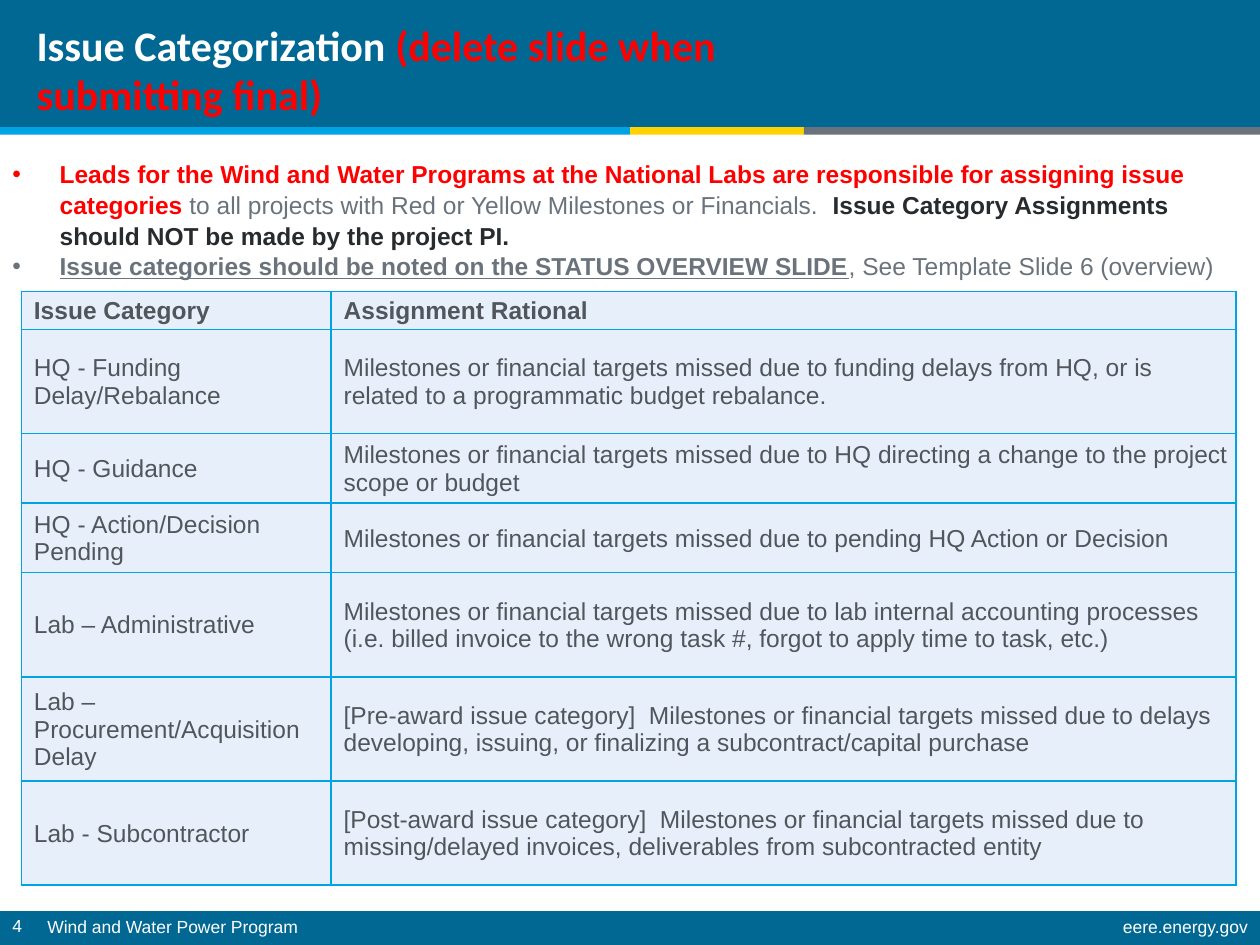
from dataclasses import dataclass
from typing import NamedTuple

from lxml.etree import SubElement
from pptx import Presentation
from pptx.dml.color import RGBColor
from pptx.enum.shapes import MSO_SHAPE as Preset
from pptx.enum.text import MSO_ANCHOR as Anchor, MSO_AUTO_SIZE as AutoSize, PP_ALIGN as Align
from pptx.oxml import parse_xml
from pptx.oxml.ns import nsdecls, qn
from pptx.util import Pt

WHITE = RGBColor(0xFF, 0xFF, 0xFF)
RED = RGBColor(0xFF, 0x00, 0x00)
NAVY = RGBColor(0x00, 0x68, 0x92)
CYAN = RGBColor(0x00, 0xA4, 0xE4)
YELLOW = RGBColor(0xFF, 0xD2, 0x00)
GRAY = RGBColor(0x6A, 0x73, 0x7B)
CHARCOAL = RGBColor(0x28, 0x2B, 0x2E)
CELL_TEXT = RGBColor(0x50, 0x56, 0x5C)
CELL_FILL = RGBColor(0xE7, 0xF0, 0xFA)

SLIDE_WIDTH, SLIDE_HEIGHT = 720, 540
BULLET_INDENT = 27


class Box(NamedTuple):
    left: float
    top: float
    width: float
    height: float

    def lengths(self):
        return [Pt(value) for value in self]


@dataclass
class Band:
    box: Box
    color: RGBColor


@dataclass
class FooterLabel:
    text: str
    box: Box
    align: Align = Align.LEFT
    line_spacing: float = 0.9


class Issue(NamedTuple):
    category: str
    rationale: str
    height: float


HEADER_BOTTOM, STRIPE_HEIGHT, FOOTER_TOP = 72.7, 4.3, 520.6
BANDS = [
    Band(Box(0, 0, SLIDE_WIDTH, HEADER_BOTTOM), NAVY),
    Band(Box(0, FOOTER_TOP, SLIDE_WIDTH, SLIDE_HEIGHT - FOOTER_TOP), NAVY),
    Band(Box(0, HEADER_BOTTOM, 360, STRIPE_HEIGHT), CYAN),
    Band(Box(360, HEADER_BOTTOM, 99.4, STRIPE_HEIGHT), YELLOW),
    Band(Box(459.4, HEADER_BOTTOM, 260.6, STRIPE_HEIGHT), GRAY),
]
FOOTER_LABELS = [
    FooterLabel("Wind and Water Power Program", Box(20, 521.3, 574, 18.7)),
    FooterLabel("eere.energy.gov", Box(431.3, 521.3, 288.7, 18.7), Align.RIGHT),
    FooterLabel("4", Box(0, 519.5, 31, 19.4), line_spacing=1.0),
]

SHORT_ROW, TALL_ROW = 39.8, 59.5
COLUMN_WIDTHS = [177, 517]
ISSUES = [
    Issue("Issue Category", "Assignment Rational", 21.7),
    Issue("HQ - Funding Delay/Rebalance",
          "Milestones or financial targets missed due to funding delays from HQ, "
          "or is related to a programmatic budget rebalance.", TALL_ROW),
    Issue("HQ - Guidance",
          "Milestones or financial targets missed due to HQ directing a change "
          "to the project scope or budget", SHORT_ROW),
    Issue("HQ - Action/Decision Pending",
          "Milestones or financial targets missed due to pending HQ Action or Decision",
          SHORT_ROW),
    Issue("Lab – Administrative",
          "Milestones or financial targets missed due to lab internal accounting processes "
          "(i.e. billed invoice to the wrong task #, forgot to apply time to task, etc.)",
          TALL_ROW),
    Issue("Lab – Procurement/Acquisition Delay",
          "[Pre-award issue category]  Milestones or financial targets missed due to delays "
          "developing, issuing, or finalizing a subcontract/capital purchase", TALL_ROW),
    Issue("Lab - Subcontractor",
          "[Post-award issue category]  Milestones or financial targets missed due to "
          "missing/delayed invoices, deliverables from subcontracted entity", TALL_ROW),
]


def write(paragraph, text: str, *, color: RGBColor, size: float = 14, font: str = "Arial",
          bold: bool = False, underline: bool = False) -> None:
    run = paragraph.add_run()
    run.text = text
    run.font.name = font
    run.font.size = Pt(size)
    run.font.bold = bold
    run.font.underline = underline
    run.font.color.rgb = color


def draw_band(slide, band: Band) -> None:
    bar = slide.shapes.add_shape(Preset.RECTANGLE, *band.box.lengths())
    bar.shadow.inherit = False
    bar.fill.solid()
    bar.fill.fore_color.rgb = band.color
    bar.line.fill.background()


def add_text_frame(slide, box: Box):
    frame = slide.shapes.add_textbox(*box.lengths()).text_frame
    frame.word_wrap = True
    return frame


def draw_footer_label(slide, label: FooterLabel) -> None:
    paragraph = add_text_frame(slide, label.box).paragraphs[0]
    paragraph.alignment = label.align
    paragraph.line_spacing = label.line_spacing
    write(paragraph, label.text, size=10, color=WHITE)


def place_title(slide) -> None:
    title = slide.shapes.title
    title.element.getparent().append(title.element)
    title.left, title.top, title.width, title.height = Box(13.7, 8.6, 445.7, 62.6).lengths()
    frame = title.text_frame
    frame.auto_size = AutoSize.NONE
    frame.word_wrap = True
    frame.vertical_anchor = Anchor.MIDDLE
    heading = frame.paragraphs[0]
    heading.alignment = Align.LEFT
    heading.line_spacing = Pt(28)
    write(heading, "Issue Categorization ", size=24, font="Calibri", bold=True, color=WHITE)
    write(heading, "(delete slide when submitting final)",
          size=24, font="Calibri", bold=True, color=RED)


def make_bullet(paragraph) -> None:
    paragraph.line_spacing = 1.05
    properties = paragraph._p.get_or_add_pPr()
    properties.set("marL", str(Pt(BULLET_INDENT)))
    properties.set("indent", str(-Pt(BULLET_INDENT)))
    SubElement(properties, qn("a:buFont")).set("typeface", "Arial")
    SubElement(properties, qn("a:buChar")).set("char", "•")


def draw_guidance(slide) -> None:
    frame = add_text_frame(slide, Box(0, 86.4, SLIDE_WIDTH, 92.2))
    responsibility, notation = frame.paragraphs[0], frame.add_paragraph()
    make_bullet(responsibility)
    make_bullet(notation)
    write(responsibility, "Leads for the Wind and Water Programs at the National Labs are "
          "responsible for assigning issue categories ", bold=True, color=RED)
    write(responsibility, "to all projects with Red or Yellow Milestones or Financials.  ",
          color=GRAY)
    write(responsibility, "Issue Category Assignments should NOT be made by the project PI.",
          bold=True, color=CHARCOAL)
    write(notation, "Issue categories should be noted on the STATUS OVERVIEW SLIDE",
          bold=True, underline=True, color=GRAY)
    write(notation, ", See Template Slide 6 (overview)", color=GRAY)


def format_cell(cell, text: str, bold: bool) -> None:
    cell.vertical_anchor = Anchor.MIDDLE
    cell.margin_left = Pt(7.2)
    cell.margin_right = cell.margin_top = Pt(0.7)
    cell.margin_bottom = Pt(0)
    cell.fill.solid()
    cell.fill.fore_color.rgb = CELL_FILL
    write(cell.text_frame.paragraphs[0], text, bold=bold, color=CELL_TEXT)
    properties = cell._tc.get_or_add_tcPr()
    for position, side in enumerate("LRTB"):
        properties.insert(position, parse_xml(
            f'<a:ln{side} {nsdecls("a")} w="{Pt(1)}"><a:solidFill>'
            f'<a:srgbClr val="{CYAN}"/></a:solidFill></a:ln{side}>'))


def draw_issue_table(slide) -> None:
    box = Box(12.2, 166.5, sum(COLUMN_WIDTHS), sum(issue.height for issue in ISSUES))
    table = slide.shapes.add_table(len(ISSUES), len(COLUMN_WIDTHS), *box.lengths()).table
    table.first_row = table.horz_banding = False
    for column, width in zip(table.columns, COLUMN_WIDTHS):
        column.width = Pt(width)
    for index, (row, issue) in enumerate(zip(table.rows, ISSUES)):
        row.height = Pt(issue.height)
        for cell, text in zip(row.cells, (issue.category, issue.rationale)):
            format_cell(cell, text, bold=index == 0)


def main() -> None:
    deck = Presentation()
    deck.slide_width, deck.slide_height = Pt(SLIDE_WIDTH), Pt(SLIDE_HEIGHT)
    slide = deck.slides.add_slide(deck.slide_layouts[5])
    for band in BANDS:
        draw_band(slide, band)
    for label in FOOTER_LABELS:
        draw_footer_label(slide, label)
    place_title(slide)
    draw_guidance(slide)
    draw_issue_table(slide)
    deck.save("out.pptx")


if __name__ == "__main__":
    main()
